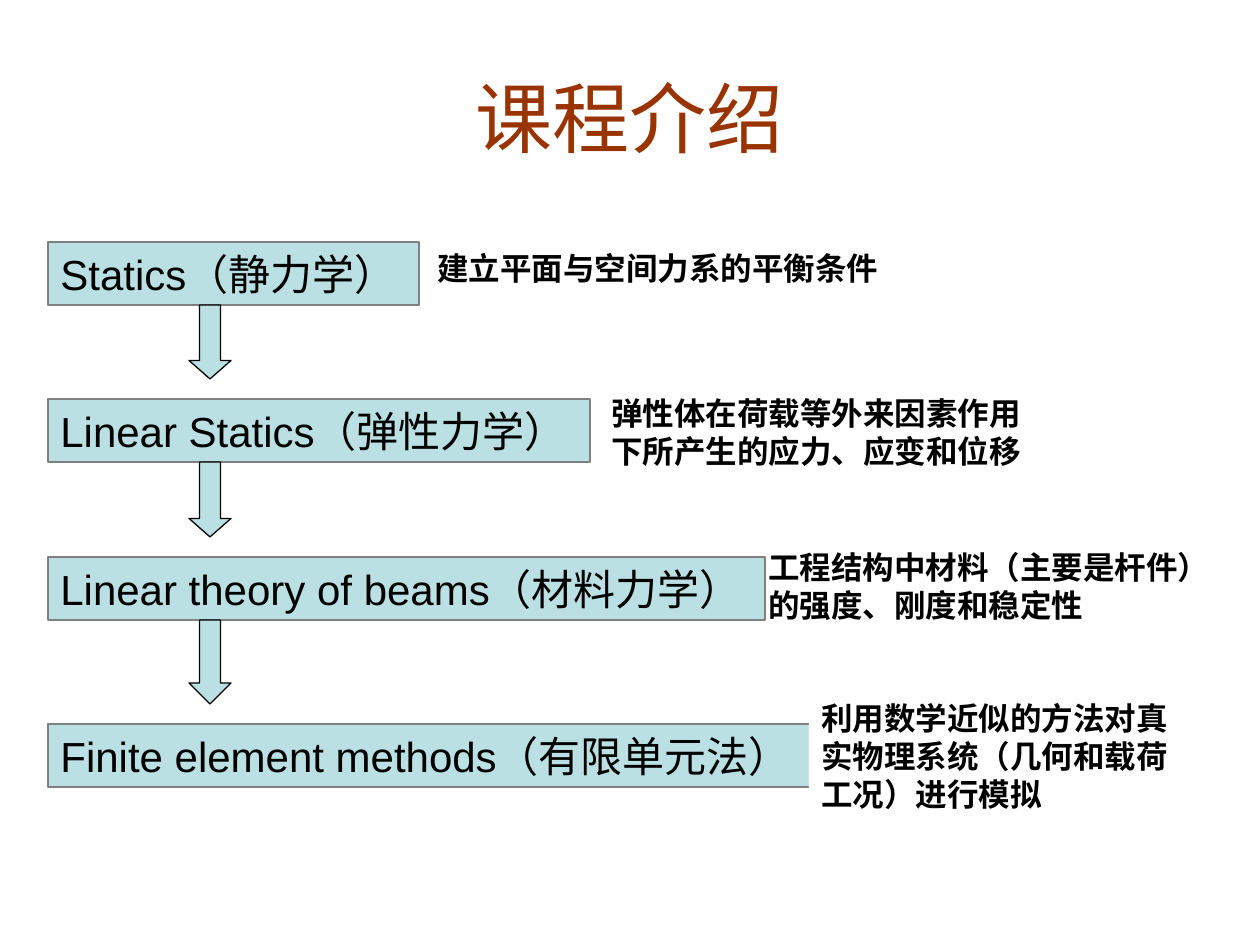
from lxml import etree
from pptx import Presentation
from pptx.dml.color import RGBColor
from pptx.enum.shapes import MSO_SHAPE
from pptx.enum.text import MSO_ANCHOR, MSO_AUTO_SIZE, PP_ALIGN
from pptx.oxml.ns import qn
from pptx.util import Pt

PX = 914400 / 126
RECTANGLE, DOWN_ARROW = MSO_SHAPE.RECTANGLE, MSO_SHAPE.DOWN_ARROW
TOP, MIDDLE = MSO_ANCHOR.TOP, MSO_ANCHOR.MIDDLE
LEFT, CENTER = PP_ALIGN.LEFT, PP_ALIGN.CENTER
FIT_SHAPE = MSO_AUTO_SIZE.SHAPE_TO_FIT_TEXT

BLACK = RGBColor(0x00, 0x00, 0x00)
WHITE = RGBColor(0xFF, 0xFF, 0xFF)
GRAY = RGBColor(0x80, 0x80, 0x80)
PALE_TEAL = RGBColor(0xBB, 0xE0, 0xE3)
RUST = RGBColor(0x99, 0x33, 0x00)
LATIN_FONT, CHINESE_FONT = "Arial", "Noto Sans CJK SC"

prs = Presentation()
prs.slide_width, prs.slide_height = round(1260 * PX), round(945 * PX)
slide = prs.slides.add_slide(prs.slide_layouts[6])


def add_box(box, preset=None, fill=None, line=None):
    """Add a preset shape, or a text box when no preset is given."""
    place = [round(value * PX) for value in box]
    if preset is None:
        return slide.shapes.add_textbox(*place)
    shape = slide.shapes.add_shape(preset, *place)
    shape.shadow.inherit = False
    shape.fill.solid()
    shape.fill.fore_color.rgb = fill
    if line is None:
        shape.line.fill.background()
    else:
        shape.line.color.rgb = line
        shape.line.width = Pt(0.75)
    return shape


def write(shape, text, size, font=LATIN_FONT, color=BLACK, bold=False,
          align=LEFT, anchor=MIDDLE, wrap=True):
    frame = shape.text_frame
    frame.word_wrap = wrap
    frame.auto_size = FIT_SHAPE
    frame.vertical_anchor = anchor
    paragraph = frame.paragraphs[0]
    paragraph.alignment = align
    run = paragraph.add_run()
    run.text = text
    run.font.size = Pt(size)
    run.font.bold = bold
    run.font.color.rgb = color
    run.font.name = font
    east_asian = etree.SubElement(run.font._element, qn("a:ea"))
    east_asian.set("typeface", CHINESE_FONT)


# Title
write(add_box((63, 38, 1134, 157)), "课程介绍", 44, color=RUST, align=CENTER)

# Course chain: name, top, width, description, description box, wraps, backing
COURSE_LEFT, COURSE_HEIGHT = 48, 63
courses = [
    ("Statics（静力学）", 242, 371,
     "建立平面与空间力系的平衡条件", (425, 243, 481, 50), False, None),
    ("Linear Statics（弹性力学）", 399, 542,
     "弹性体在荷载等外来因素作用下所产生的应力、应变和位移",
     (599, 388, 462, 88), True, None),
    ("Linear theory of beams（材料力学）", 557, 717,
     "工程结构中材料（主要是杆件）的强度、刚度和稳定性",
     (756, 542, 473, 88), True, None),
    ("Finite element methods（有限单元法）", 724, 766,
     "利用数学近似的方法对真实物理系统（几何和载荷工况）进行模拟",
     (809, 693, 378, 126), True, RECTANGLE),
]
for name, top, width, description, box, wraps, backing in courses:
    course = add_box((COURSE_LEFT, top, width, COURSE_HEIGHT),
                     RECTANGLE, PALE_TEAL, GRAY)
    write(course, name, 24, anchor=TOP, wrap=False)
    write(add_box(box, backing, WHITE), description, 18, CHINESE_FONT,
          bold=True, wrap=wraps)

# Arrows from each course down towards the next
ARROW_LEFT, ARROW_WIDTH, ARROW_GAP = 189, 42, 20
for upper, lower in zip(courses, courses[1:]):
    start = upper[1] + COURSE_HEIGHT
    length = lower[1] - ARROW_GAP - start
    arrow = add_box((ARROW_LEFT, start, ARROW_WIDTH, length),
                    DOWN_ARROW, PALE_TEAL, BLACK)
    arrow.adjustments[0] = 0.5
    arrow.adjustments[1] = 0.5 if length > 80 else 0.44

prs.save("out.pptx")
